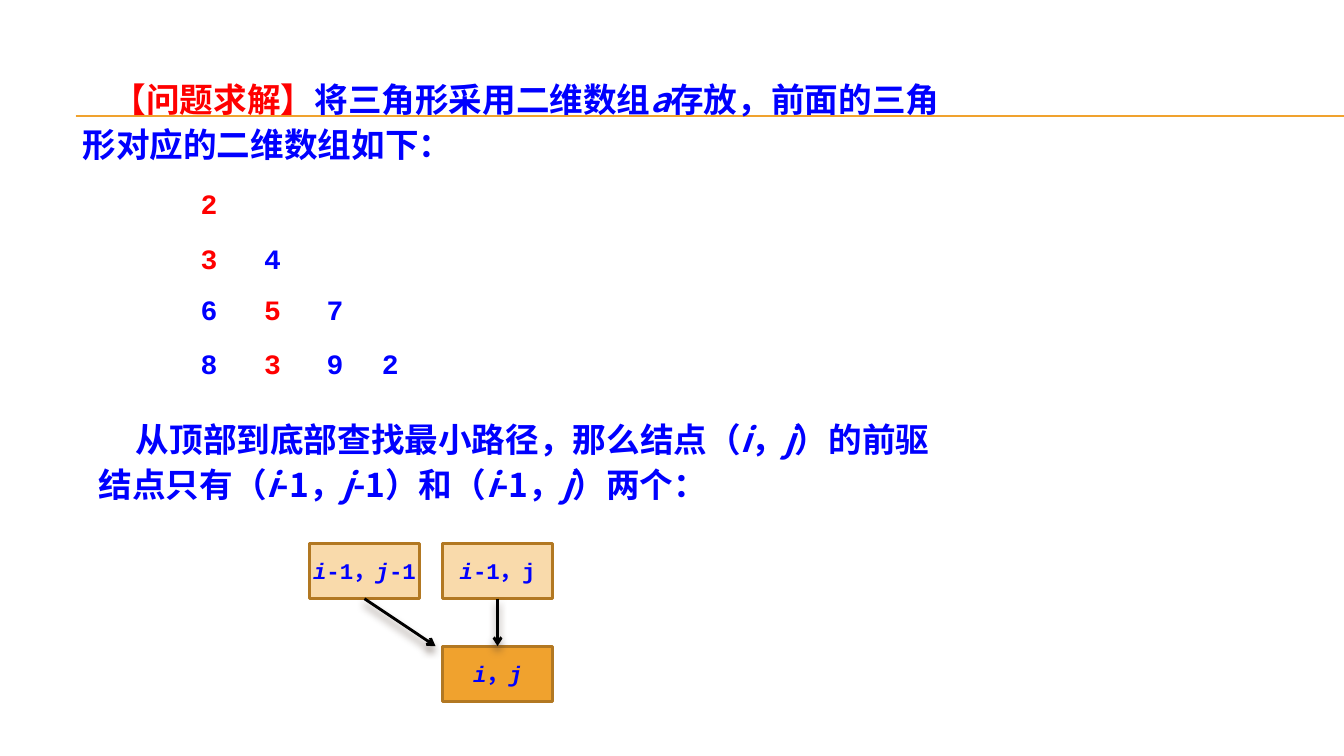
from lxml.etree import SubElement
from pptx import Presentation
from pptx.dml.color import RGBColor
from pptx.enum.shapes import MSO_CONNECTOR, MSO_SHAPE
from pptx.enum.text import MSO_ANCHOR, MSO_AUTO_SIZE, PP_ALIGN
from pptx.oxml.ns import qn
from pptx.util import Inches, Pt

THEME = {
    "text": "0000FF", "accent": "FF0000", "rule": "F0A22E", "arrow": "000000",
    "node_line": "B27822", "source_fill": "F9DAAB", "target_fill": "F0A22E",
    "shadow": "4E3B30", "body_font": "Noto Sans CJK SC", "code_font": "Courier New",
    "body_size": 24, "number_size": 20, "node_size": 16, "leading": 32,
}

PASSAGES = [
    {"at": (0.72, 0.69, 8.71, 1), "indent": 0.3, "runs": [
        ("【问题求解】", "accent"), ("将三角形采用二维数组", ""), ("a", "italic"),
        ("存放，前面的三角形对应的二维数组如下：", "")]},
    {"at": (0.88, 4.06, 8.54, 1), "indent": 0.37, "runs": [
        ("从顶部到底部查找最小路径，那么结点（", ""), ("i", "italic"), ("，", ""),
        ("j", "italic"), ("）的前驱结点只有（", ""), ("i", "italic"), ("-1，", ""),
        ("j", "italic"), ("-1）和（", ""), ("i", "italic"), ("-1，", ""),
        ("j", "italic"), ("）两个：", "")]},
]

TRIANGLE = ["2", "34", "657", "8392"]
MIN_PATH = [0, 0, 1, 1]
COLUMN_LEFTS = [1.89, 2.52, 3.14, 3.69]
ROW_TOPS = [1.8, 2.35, 2.85, 3.39]
NUMBER_SIZE = (0.31, 0.44)

NODES = {
    "current": (4.39, 6.41, "target_fill", [("i", "italic"), ("，", ""), ("j", "italic")]),
    "above": (4.39, 5.39, "source_fill", [("i", "italic"), ("-1，j", "")]),
    "above_left": (3.07, 5.39, "source_fill",
                   [("i", "italic"), ("-1，", ""), ("j", "italic"), ("-1", "")]),
}
NODE_SIZE = (1.09, 0.55)
CORNER_GAP = 0.07
RULE_LEFT, RULE_RIGHT, RULE_TOPS = 0.75, 13.33, (1.15, 1.16)


def color(name):
    return RGBColor.from_string(THEME[name])


def add_runs(paragraph, runs, font_name, size):
    for text, style in runs:
        run = paragraph.add_run()
        run.text = text
        font = run.font
        font.name, font.size, font.bold = font_name, Pt(size), True
        font.italic = style == "italic"
        font.color.rgb = color("accent" if style == "accent" else "text")
        SubElement(run._r.get_or_add_rPr(), qn("a:ea"), typeface=font_name)


def add_text(slide, box, runs, font_name, size):
    frame = slide.shapes.add_textbox(*map(Inches, box)).text_frame
    frame.word_wrap = True
    frame.auto_size = MSO_AUTO_SIZE.SHAPE_TO_FIT_TEXT
    add_runs(frame.paragraphs[0], runs, font_name, size)
    return frame.paragraphs[0]


def add_line(slide, start, end, color_name, width):
    line = slide.shapes.add_connector(MSO_CONNECTOR.STRAIGHT, *map(Inches, start + end))
    line.line.color.rgb = color(color_name)
    line.line.width = Pt(width)
    return line, SubElement(line._element.spPr, qn("a:effectLst"))


def add_arrow(slide, source, start, end):
    arrow, effects = add_line(slide, start, end, "arrow", 2)
    arrow.begin_connect(source, 2)
    SubElement(arrow.line._get_or_add_ln(), qn("a:tailEnd"), type="arrow")
    shadow = SubElement(effects, qn("a:outerShdw"), blurRad=str(Pt(6)), dist=str(Pt(4)),
                        dir="5400000", rotWithShape="0")
    tint = SubElement(shadow, qn("a:srgbClr"), val=THEME["shadow"])
    SubElement(tint, qn("a:alpha"), val="60000")
    return arrow


def add_node(slide, left, top, fill, runs):
    node = slide.shapes.add_shape(MSO_SHAPE.RECTANGLE, *map(Inches, (left, top) + NODE_SIZE))
    node.shadow.inherit = False
    node.fill.solid()
    node.fill.fore_color.rgb = color(fill)
    node.line.color.rgb = color("node_line")
    node.line.width = Pt(2)
    frame = node.text_frame
    frame.word_wrap = True
    frame.vertical_anchor = MSO_ANCHOR.MIDDLE
    frame.margin_left = frame.margin_right = 0
    frame.paragraphs[0].alignment = PP_ALIGN.CENTER
    add_runs(frame.paragraphs[0], runs, THEME["code_font"], THEME["node_size"])
    return node


def main():
    deck = Presentation()
    deck.slide_width, deck.slide_height = Inches(13.33), Inches(7.5)
    slide = deck.slides.add_slide(deck.slide_layouts[6])

    for top in RULE_TOPS:
        add_line(slide, (RULE_LEFT, top), (RULE_RIGHT, top), "rule", 0.75)

    for passage in PASSAGES:
        paragraph = add_text(slide, passage["at"], passage["runs"],
                             THEME["body_font"], THEME["body_size"])
        paragraph.line_spacing = Pt(THEME["leading"])
        paragraph._p.get_or_add_pPr().set("indent", str(Inches(passage["indent"])))

    for numbers, top, chosen in zip(TRIANGLE, ROW_TOPS, MIN_PATH):
        for column, (number, left) in enumerate(zip(numbers, COLUMN_LEFTS)):
            style = "accent" if column == chosen else ""
            add_text(slide, (left, top) + NUMBER_SIZE, [(number, style)],
                     THEME["code_font"], THEME["number_size"])

    nodes = {name: add_node(slide, *node) for name, node in NODES.items()}
    width, height = NODE_SIZE
    left, top = NODES["current"][:2]
    ends = {"above": (left + width / 2, top), "above_left": (left - CORNER_GAP, top)}
    for name, end in ends.items():
        source_left, source_top = NODES[name][:2]
        start = (source_left + width / 2, source_top + height)
        arrow = add_arrow(slide, nodes[name], start, end)
        if name == "above":
            arrow.end_connect(nodes["current"], 0)

    deck.save("out.pptx")


if __name__ == "__main__":
    main()
